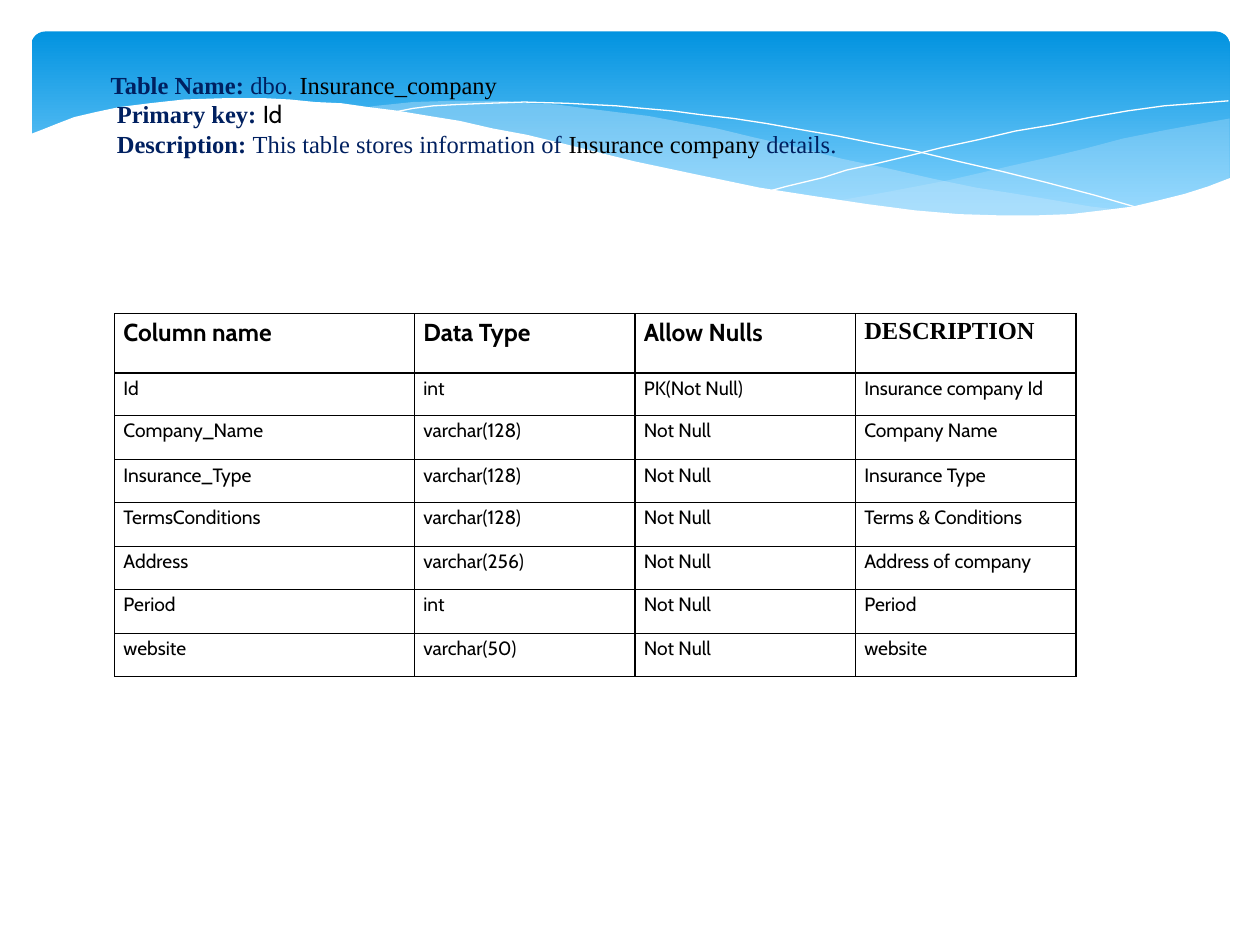
import pptx
import pptx.dml.color
import pptx.enum.shapes
import pptx.enum.text
import pptx.oxml
import pptx.oxml.ns
import pptx.util
from dataclasses import dataclass

Inches = pptx.util.Inches
Pt = pptx.util.Pt


@dataclass(frozen=True)
class Theme:
    band_top: str = "0293E0"
    band_bottom: str = "83D3FE"
    wave: str = "C6E7FC"
    paper: str = "FFFFFF"
    ink: str = "000000"
    label: str = "002060"
    sans: str = "Cabin"
    serif: str = "Times New Roman"
    heading_size: float = 14
    body_size: float = 11
    border_width: float = 0.75


THEME = Theme()

RIGHT_WAVE = [
    (9.76, 0.94), (9.48, 0.99), (9.21, 1.04), (8.91, 1.1), (8.61, 1.18),
    (8.32, 1.25), (8.05, 1.31), (7.79, 1.37), (7.53, 1.43), (7.06, 1.52),
    (6.61, 1.6), (6.91, 1.64), (7.19, 1.67), (7.45, 1.69), (7.69, 1.71),
    (7.92, 1.72), (8.35, 1.72), (8.63, 1.7), (8.89, 1.66), (9.13, 1.62),
    (9.35, 1.56), (9.49, 1.52), (9.63, 1.47), (9.76, 1.41),
]
LONG_WAVE = [
    (8.93, 1.67), (8.66, 1.64), (8.37, 1.59), (8.07, 1.54), (7.75, 1.49),
    (7.41, 1.42), (7.06, 1.34), (6.68, 1.26), (6.29, 1.16), (5.98, 1.09),
    (5.69, 1.02), (5.41, 0.97), (5.14, 0.92), (4.89, 0.89), (4.65, 0.86),
    (4.42, 0.83), (4.2, 0.82), (3.99, 0.8), (3.61, 0.8), (3.28, 0.81),
    (2.99, 0.84), (2.86, 0.86), (3.04, 0.88), (3.23, 0.9), (3.42, 0.94),
    (3.62, 0.97), (3.83, 1.01), (4.04, 1.06), (4.27, 1.1), (4.49, 1.16),
    (4.91, 1.26), (5.3, 1.35), (5.66, 1.43), (6.01, 1.5), (6.34, 1.56),
    (6.65, 1.61), (6.95, 1.65), (7.22, 1.68), (7.48, 1.7), (7.73, 1.72),
    (7.96, 1.73), (8.28, 1.73), (8.48, 1.72), (8.67, 1.7),
]
FALLING_LINE = [
    (3.09, 0.9), (3.18, 0.88), (3.28, 0.86), (3.44, 0.84), (3.63, 0.83),
    (3.87, 0.82), (4.16, 0.81), (4.5, 0.82), (4.69, 0.83), (4.89, 0.84),
    (5.1, 0.86), (5.33, 0.88), (5.56, 0.91), (5.82, 0.94), (6.08, 0.98),
    (6.36, 1.03), (6.65, 1.08), (6.95, 1.14), (7.27, 1.2), (7.6, 1.28),
    (7.95, 1.36), (8.31, 1.45), (8.69, 1.55), (9.07, 1.66),
]
RISING_LINE = [
    (6.13, 1.51), (6.24, 1.48), (6.53, 1.41), (6.72, 1.35), (6.95, 1.3),
    (7.2, 1.24), (7.48, 1.17), (7.76, 1.11), (8.06, 1.04), (8.36, 0.99),
    (8.66, 0.93), (8.95, 0.88), (9.24, 0.84), (9.51, 0.82), (9.75, 0.8),
]
WHITE_CURVE = [
    (9.77, 1.41), (9.59, 1.48), (9.4, 1.54), (9.2, 1.59), (8.99, 1.64),
    (8.75, 1.67), (8.5, 1.7), (8.23, 1.71), (7.93, 1.71), (7.61, 1.7),
    (7.26, 1.67), (6.88, 1.62), (6.48, 1.56), (6.03, 1.49), (5.55, 1.39),
    (5.03, 1.28), (4.47, 1.14), (4.18, 1.07), (3.91, 1.02), (3.65, 0.96),
    (3.4, 0.92), (3.16, 0.88), (2.92, 0.85), (2.71, 0.82), (2.5, 0.81),
    (2.3, 0.79), (2.11, 0.78), (1.77, 0.78), (1.46, 0.79), (1.19, 0.82),
    (0.95, 0.85), (0.76, 0.89), (0.59, 0.93), (0.46, 0.98), (0.36, 1.02),
    (0.23, 1.07), (0.23, 2.24), (9.77, 2.24),
]

HEADING = [
    [("Table Name: ", THEME.label, True, THEME.serif),
     ("dbo. ", THEME.label, False, THEME.serif),
     ("Insurance_company", THEME.ink, False, THEME.serif)],
    [(" Primary key: ", THEME.label, True, THEME.serif),
     ("Id", THEME.ink, False, THEME.sans)],
    [(" Description: ", THEME.label, True, THEME.serif),
     ("This table stores information of ", THEME.label, False, THEME.serif),
     ("Insurance company", THEME.ink, False, THEME.serif),
     (" details.", THEME.label, False, THEME.serif)],
]

COLUMNS = [
    ("Id", "int", "PK(Not Null)", "Insurance company Id"),
    ("Company_Name", "varchar(128)", "Not Null", "Company Name"),
    ("Insurance_Type", "varchar(128)", "Not Null", "Insurance Type"),
    ("TermsConditions", "varchar(128)", "Not Null", "Terms & Conditions"),
    ("Address", "varchar(256)", "Not Null", "Address of company"),
    ("Period", "int", "Not Null", "Period"),
    ("website", "varchar(50)", "Not Null", "website"),
]
TABLE_ROWS = [("Column name", "Data Type", "Allow Nulls", "DESCRIPTION"), *COLUMNS]


class SlideBuilder:
    def __init__(self, slide, theme):
        self.slide = slide
        self.theme = theme

    def color(self, value):
        return pptx.dml.color.RGBColor.from_string(value)

    def style_run(self, run, size, color, bold, font):
        run.font.size = Pt(size)
        run.font.color.rgb = self.color(color)
        run.font.bold = bold
        run.font.name = font

    def band(self, left, top, width, height):
        shape = self.slide.shapes.add_shape(
            pptx.enum.shapes.MSO_SHAPE.ROUNDED_RECTANGLE,
            Inches(left), Inches(top), Inches(width), Inches(height))
        shape.adjustments[0] = 0.07
        shape.shadow.inherit = False
        shape.line.fill.background()
        shape.fill.gradient()
        shape.fill.gradient_angle = 270
        first, last = shape.fill.gradient_stops
        first.color.rgb = self.color(self.theme.band_top)
        last.color.rgb = self.color(self.theme.band_bottom)
        first.position, last.position = 0, 0.9

    def outline(self, points, closed):
        start, *others = [(Inches(x), Inches(y)) for x, y in points]
        builder = self.slide.shapes.build_freeform(*start)
        builder.add_line_segments(others, close=closed)
        shape = builder.convert_to_shape()
        shape.shadow.inherit = False
        return shape

    def area(self, points, color, opacity=100):
        shape = self.outline(points, True)
        shape.line.fill.background()
        shape.fill.solid()
        shape.fill.fore_color.rgb = self.color(color)
        if opacity < 100:
            value = shape.fill._xPr.find(".//" + pptx.oxml.ns.qn("a:srgbClr"))
            alpha = pptx.oxml.ns.qn("a:alpha")
            value.append(value.makeelement(alpha, {"val": str(opacity * 1000)}))

    def curve(self, points):
        shape = self.outline(points, False)
        shape.fill.background()
        shape.line.color.rgb = self.color(self.theme.paper)
        shape.line.width = Pt(0)

    def heading(self, left, top, width, height, lines):
        shape = self.slide.shapes.add_textbox(
            Inches(left), Inches(top), Inches(width), Inches(height))
        frame = shape.text_frame
        frame.word_wrap = True
        frame.auto_size = pptx.enum.text.MSO_AUTO_SIZE.SHAPE_TO_FIT_TEXT
        frame.vertical_anchor = pptx.enum.text.MSO_ANCHOR.MIDDLE
        for index, line in enumerate(lines):
            paragraph = frame.add_paragraph() if index else frame.paragraphs[0]
            paragraph._p.get_or_add_pPr().set("indent", str(Inches(0.25)))
            for text, color, bold, font in line:
                run = paragraph.add_run()
                run.text = text
                self.style_run(run, self.theme.heading_size, color, bold, font)

    def border(self, cell):
        properties = cell._tc.get_or_add_tcPr()
        for index, side in enumerate(("lnL", "lnR", "lnT", "lnB")):
            properties.insert(index, pptx.oxml.parse_xml(
                f'<a:{side} {pptx.oxml.ns.nsdecls("a")} w="{Pt(self.theme.border_width)}">'
                f'<a:solidFill><a:srgbClr val="{self.theme.ink}"/></a:solidFill></a:{side}>'))

    def table(self, left, top, widths, heights, rows):
        table = self.slide.shapes.add_table(
            len(rows), len(widths), Inches(left), Inches(top),
            Inches(sum(widths)), Inches(sum(heights))).table
        table.first_row = table.horz_banding = False
        for column, width in zip(table.columns, widths):
            column.width = Inches(width)
        for row_index, (row, height, texts) in enumerate(zip(table.rows, heights, rows)):
            row.height = Inches(height)
            header = row_index == 0
            size = self.theme.heading_size if header else self.theme.body_size
            for cell, text in zip(row.cells, texts):
                cell.fill.background()
                self.border(cell)
                cell.margin_left = cell.margin_right = Inches(0.07)
                cell.margin_top = cell.margin_bottom = 0
                cell.text_frame.text = text
                paragraph = cell.text_frame.paragraphs[0]
                paragraph.line_spacing = 1.15
                font = self.theme.serif if text == "DESCRIPTION" else self.theme.sans
                self.style_run(paragraph.runs[0], size, self.theme.ink, header, font)


def main():
    presentation = pptx.Presentation()
    presentation.slide_width, presentation.slide_height = Inches(10), Inches(7.5)
    slide = presentation.slides.add_slide(presentation.slide_layouts[6])
    builder = SlideBuilder(slide, THEME)
    builder.band(0.25, 0.25, 9.51, 1.56)
    builder.area(RIGHT_WAVE, THEME.wave, 29)
    builder.area(LONG_WAVE, THEME.wave, 40)
    builder.curve(FALLING_LINE)
    builder.curve(RISING_LINE)
    builder.area(WHITE_CURVE, THEME.paper)
    builder.heading(0.53, 0.5, 8.25, 0.81, HEADING)
    heights = [0.47] + [0.34 if index % 2 == 0 else 0.35 for index in range(len(COLUMNS))]
    builder.table(0.91, 2.49, [2.38] + [1.75] * 3, heights, TABLE_ROWS)
    presentation.save("out.pptx")


if __name__ == "__main__":
    main()
